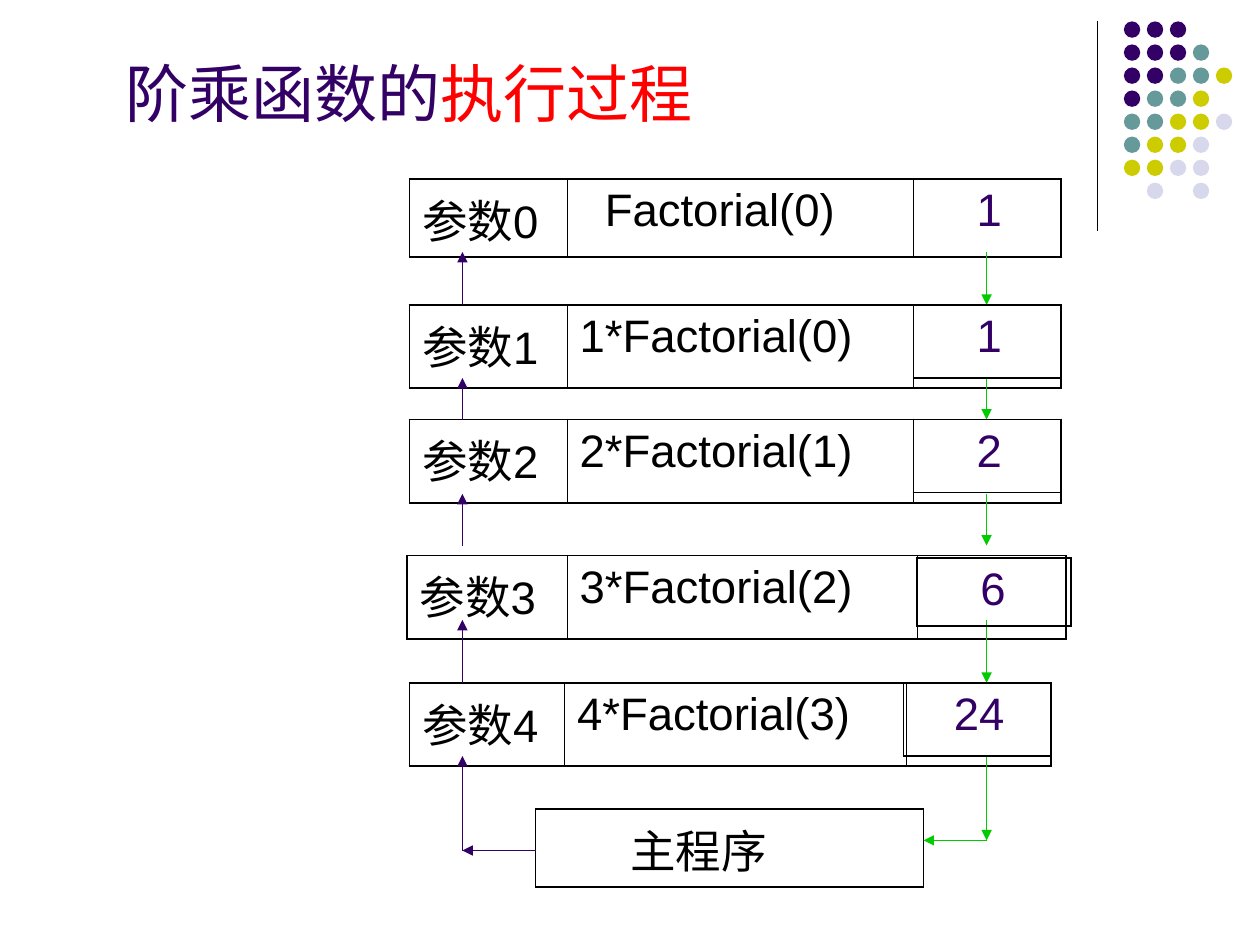
"""Build the slide on how the factorial function runs."""
from lxml import etree
from pptx import Presentation
from pptx.dml.color import RGBColor
from pptx.enum import shapes, text
from pptx.oxml.ns import qn
from pptx.util import Inches, Pt

INK, DARK, GREEN = "000000", "330066", "00CC00"


def rgb(code):
    return RGBColor.from_string(code)


def grid(left, top, wide, high, cells):
    frame = slide.shapes.add_table(1, len(wide), Inches(left), Inches(top),
                                   Inches(sum(wide)), Inches(high))
    table = frame.table
    table.first_row = table.horz_banding = False
    table.rows[0].height = Inches(high)
    last = len(wide) - 1
    for col, (width, (words, pad, hue)) in enumerate(zip(wide, cells)):
        table.columns[col].width = Inches(width)
        cell = table.cell(0, col)
        cell.margin_left = Inches(0.1 + pad)
        para = cell.text_frame.paragraphs[0]
        para.text = words
        para.font.size = Pt(26)
        para.font.name = "Arial"
        para.font.color.rgb = rgb(hue)
        prop = cell._tc.get_or_add_tcPr()
        thick = {"L": 1.08 if col == 0 else 0.45,
                 "R": 1.08 if col == last else 0.45, "T": 1.08, "B": 1.08}
        for side, size in thick.items():
            edge = etree.SubElement(prop, qn("a:ln" + side), w=str(Pt(size)))
            fill = etree.SubElement(edge, qn("a:solidFill"))
            etree.SubElement(fill, qn("a:srgbClr"), val=INK)
        cell.fill.background()


deck = Presentation()
deck.slide_width, deck.slide_height = Inches(10), Inches(7.5)
slide = deck.slides.add_slide(deck.slide_layouts[6])

hues = {"D": DARK, "T": "669999", "Y": "CCCC00", "L": "D8D8EC"}
dots = ["DDD", "DDDT", "DDTTY", "DTTY", "TTYYL", "TYYL", "YYLL", " L L"]
for row, marks in enumerate(dots):
    for col, mark in enumerate(marks):
        if mark in hues:
            dot = slide.shapes.add_shape(
                shapes.MSO_SHAPE.OVAL, Inches(8.92 + col * 0.73 / 4),
                Inches(0.17 + row * 1.28 / 7), Inches(0.13), Inches(0.13))
            dot.shadow.inherit = False
            dot.fill.solid()
            dot.fill.fore_color.rgb = rgb(hues[mark])
            dot.line.fill.background()

title = slide.shapes.add_textbox(Inches(0.9), Inches(0.36), Inches(7.36), Inches(0.72))
frame = title.text_frame
frame.word_wrap = True
frame.vertical_anchor = text.MSO_ANCHOR.BOTTOM
para = frame.paragraphs[0]
para.font.size = Pt(36)
para.font.name = "Arial"
for words, hue in [("阶乘函数的", DARK), ("执行过程", "FF0000")]:
    run = para.add_run()
    run.text = words
    run.font.color.rgb = rgb(hue)

grid(4.25, 6.42, [3.08], 0.62, [("主程序", 0.65, INK)])

wide = [1.25, 2.75, 1.17]
calls = [
    (3.25, 1.42, wide, 0.62, "Factorial(0)", 0.2, "1"),
    (3.25, 2.42, wide, 0.66, "1*Factorial(0)", 0, ""),
    (3.25, 3.33, wide, 0.66, "2*Factorial(1)", 0, ""),
    (3.23, 4.41, [1.27, 2.78, 1.18], 0.66, "3*Factorial(2)", 0, ""),
    (3.25, 5.42, [1.23, 2.71, 1.15], 0.66, "4*Factorial(3)", 0, ""),
]
for step, (left, top, cols, high, call, pad, value) in enumerate(calls):
    grid(left, top, cols, high,
         [(f"参数{step}", 0, INK), (call, pad, INK), (value, 0.4, DARK)])

lines = [(8.71, 0.17, 8.71, 1.83, INK, 0.75),
         (7.83, 6, 7.83, 6.67, GREEN, 1), (7.83, 6.67, 7.33, 6.67, GREEN, 1),
         (3.67, 6.75, 3.67, 6, DARK, 1), (4.25, 6.75, 3.67, 6.75, DARK, 1)]
for high, low in [(2, 2.42), (3, 3.33), (3.92, 4.33), (4.92, 5.42)]:
    lines.append((7.83, high, 7.83, low, GREEN, 1))
    lines.append((3.67, low, 3.67, high, DARK, 1))
for *ends, hue, size in lines:
    line = slide.shapes.add_connector(shapes.MSO_CONNECTOR.STRAIGHT, *map(Inches, ends))
    line.line.color.rgb = rgb(hue)
    line.line.width = Pt(size)
    if hue != INK:
        etree.SubElement(line.line._get_or_add_ln(), qn("a:tailEnd"), type="triangle")
    etree.SubElement(line._element.spPr, qn("a:effectLst"))

for left, top, width, high, value, pad in [
        (7.25, 2.42, 1.17, 0.58, "1", 0.4), (7.25, 3.33, 1.17, 0.58, "2", 0.4),
        (7.28, 4.43, 1.22, 0.54, "6", 0.4), (7.17, 5.42, 1.17, 0.58, "24", 0.3)]:
    grid(left, top, [width], high, [(value, pad, DARK)])

deck.save("out.pptx")
